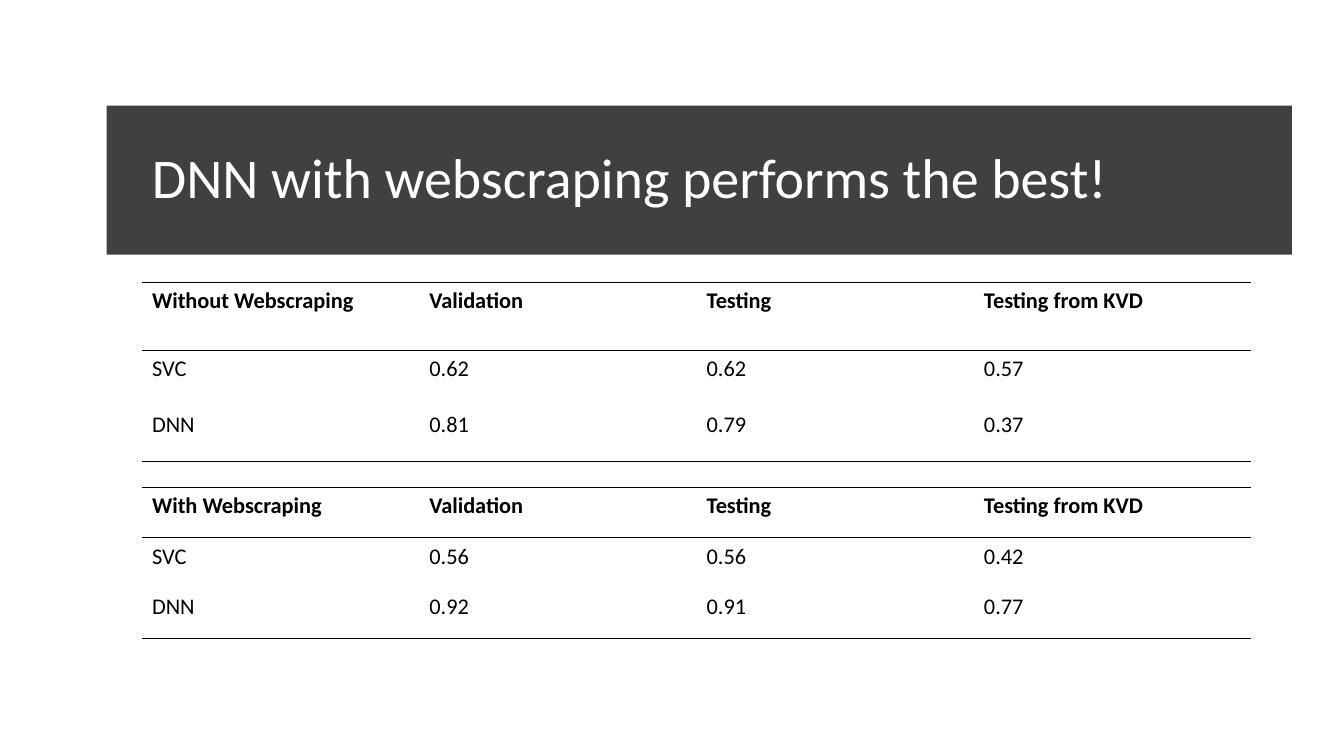
from dataclasses import dataclass

from lxml.etree import SubElement
from pptx import Presentation
from pptx.dml.color import RGBColor
from pptx.enum.shapes import MSO_SHAPE
from pptx.enum.text import MSO_ANCHOR
from pptx.oxml.ns import qn
from pptx.util import Cm, Pt


@dataclass(frozen=True)
class Theme:
    font: str = "Calibri"
    band: str = "404040"
    title: str = "FFFFFF"
    text: str = "000000"
    rule: str = "000000"
    title_size: float = 40
    table_size: float = 16
    rule_width: float = 0.45


class SlideBuilder:
    def __init__(self, slide, theme):
        self.slide = slide
        self.theme = theme

    def style_text(self, paragraph, size, color, bold=False):
        for run in paragraph.runs:
            run.font.name = self.theme.font
            run.font.size = Pt(size)
            run.font.bold = bold
            run.font.color.rgb = RGBColor.from_string(color)

    def add_band(self, left, top, width, height):
        shape = self.slide.shapes.add_shape(
            MSO_SHAPE.RECTANGLE, Cm(left), Cm(top), Cm(width), Cm(height))
        shape.shadow.inherit = False
        shape.fill.solid()
        shape.fill.fore_color.rgb = RGBColor.from_string(self.theme.band)
        shape.line.fill.background()

    def add_title(self, text, left, top, width, height):
        shape = self.slide.shapes.add_textbox(
            Cm(left), Cm(top), Cm(width), Cm(height))
        text_frame = shape.text_frame
        text_frame.word_wrap = True
        text_frame.vertical_anchor = MSO_ANCHOR.MIDDLE
        text_frame.text = text
        paragraph = text_frame.paragraphs[0]
        paragraph.line_spacing = 0.9
        self.style_text(paragraph, self.theme.title_size, self.theme.title)

    def set_borders(self, cell, ruled_sides):
        properties = cell._tc.get_or_add_tcPr()
        for side in "LRTB":
            line = SubElement(properties, qn(f"a:ln{side}"))
            if side in ruled_sides:
                line.set("w", str(Pt(self.theme.rule_width)))
                fill = SubElement(line, qn("a:solidFill"))
                SubElement(fill, qn("a:srgbClr")).set("val", self.theme.rule)
            else:
                line.set("w", "0")
                SubElement(line, qn("a:noFill"))

    def add_table(self, rows, left, top, column_width, row_heights):
        column_count = len(rows[0])
        table = self.slide.shapes.add_table(
            len(rows), column_count, Cm(left), Cm(top),
            Cm(column_width * column_count), Cm(sum(row_heights))).table
        table.first_row = False
        table.horz_banding = False
        for column in table.columns:
            column.width = Cm(column_width)

        # Rules above and below the header, and below the last row
        ruled_sides = {0: "TB", 1: "T", len(rows) - 1: "B"}
        for row_index, values in enumerate(rows):
            table.rows[row_index].height = Cm(row_heights[row_index])
            for column_index, value in enumerate(values):
                cell = table.cell(row_index, column_index)
                cell.text_frame.text = value
                self.style_text(cell.text_frame.paragraphs[0],
                                self.theme.table_size, self.theme.text,
                                bold=row_index == 0)
                self.set_borders(cell, ruled_sides.get(row_index, ""))
                cell.fill.background()


def main():
    presentation = Presentation()
    presentation.slide_width = Cm(33.88)
    presentation.slide_height = Cm(19.05)
    slide = presentation.slides.add_slide(presentation.slide_layouts[6])
    builder = SlideBuilder(slide, Theme())

    # Title band
    builder.add_band(2.69, 2.66, 29.88, 3.76)
    builder.add_title("DNN with webscraping performs the best!",
                      3.58, 3.35, 27.84, 2.39)

    # Score tables: top, row heights, heading, scores
    score_columns = ["Validation", "Testing", "Testing from KVD"]
    score_tables = [
        (7.11, [1.72, 1.4, 1.4], "Without Webscraping",
         [["SVC", "0.62", "0.62", "0.57"], ["DNN", "0.81", "0.79", "0.37"]]),
        (12.28, [1.27, 1.27, 1.27], "With Webscraping",
         [["SVC", "0.56", "0.56", "0.42"], ["DNN", "0.92", "0.91", "0.77"]]),
    ]
    for top, row_heights, heading, scores in score_tables:
        builder.add_table([[heading, *score_columns], *scores],
                          3.58, top, 6.99, row_heights)

    presentation.save("out.pptx")


if __name__ == "__main__":
    main()
